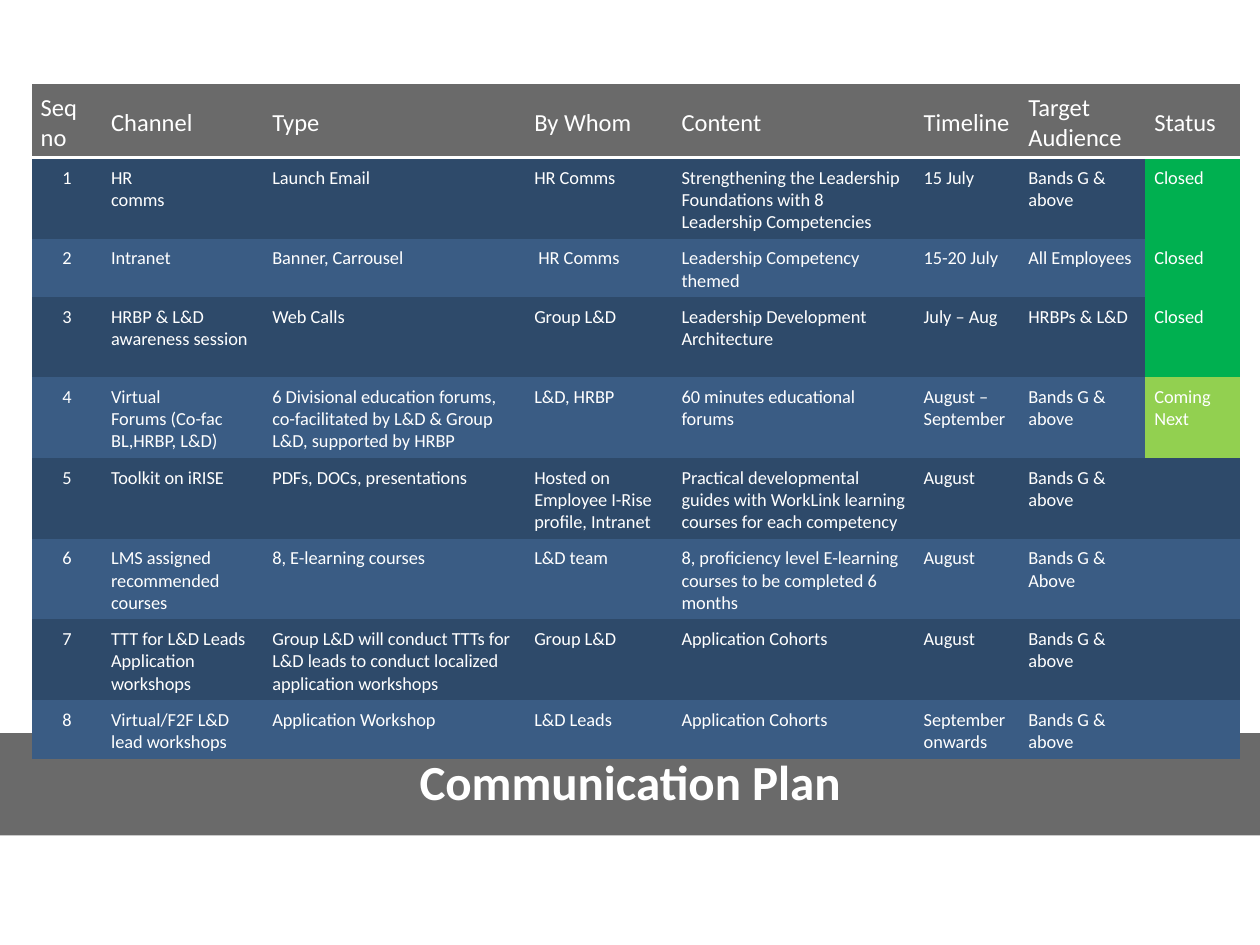
from dataclasses import dataclass

from lxml.etree import SubElement as Sub
from pptx import Presentation as Deck
from pptx.dml.color import RGBColor as Rgb
from pptx.enum.text import MSO_ANCHOR as Anchor, PP_ALIGN as Align
from pptx.oxml.ns import qn
from pptx.slide import Slide
from pptx.table import Table, _Cell as Cell
from pptx.text.text import TextFrame as Frame
from pptx.util import Cm, Pt


@dataclass(frozen=True)
class Theme:
    """Colours, font and type sizes of the slide."""

    font: str = "Calibri"
    white: str = "FFFFFF"
    grey: str = "6A6A6A"
    bands: tuple[str, str] = ("2E4A6A", "3A5C84")
    closed: str = "00B050"
    coming: str = "92D050"
    title: float = 28
    head: float = 14
    body: float = 10.5


@dataclass(frozen=True)
class Column:
    """Heading and width in centimetres."""

    head: str
    width: float


@dataclass(frozen=True)
class Step:
    """One row of the plan, with its height in centimetres."""

    channel: str
    kind: str
    owner: str
    content: str
    time: str
    target: str = "Bands G & above"
    status: str = ""
    height: float = 1.61

    def texts(self) -> tuple[str, ...]:
        """Return the cell texts in column order."""
        return (self.channel, self.kind, self.owner, self.content,
                self.time, self.target, self.status)


THEME = Theme()
FILLS = {"Closed": THEME.closed, "Coming Next": THEME.coming}
HEAD_HEIGHT = 1.48
COLUMNS = [
    Column("Seq no", 1.42),
    Column("Channel", 3.25),
    Column("Type", 5.28),
    Column("By Whom", 2.97),
    Column("Content", 4.88),
    Column("Timeline", 2.11),
    Column("Target Audience", 2.54),
    Column("Status", 1.9),
]
STEPS = [
    Step("HR \vcomms", "Launch Email", "HR Comms",
         "Strengthening the Leadership Foundations with 8 Leadership Competencies",
         "15 July", status="Closed"),
    Step("Intranet", "Banner, Carrousel", " HR Comms",
         "Leadership Competency themed", "15-20 July",
         "All Employees", "Closed", 1.17),
    Step("HRBP & L&D awareness session", "Web Calls", "Group L&D",
         "Leadership Development Architecture", "July – Aug",
         "HRBPs & L&D", "Closed"),
    Step("Virtual\vForums (Co-fac BL,HRBP, L&D)",
         "6 Divisional education forums, co-facilitated by L&D & Group L&D, "
         "supported by HRBP",
         "L&D, HRBP", "60 minutes educational forums", "August – September",
         status="Coming Next"),
    Step("Toolkit on iRISE", "PDFs, DOCs, presentations",
         "Hosted on Employee I-Rise profile, Intranet",
         "Practical developmental guides with WorkLink learning courses "
         "for each competency", "August"),
    Step("LMS assigned recommended courses", "8, E-learning courses", "L&D team",
         "8, proficiency level E-learning courses to be completed 6 months",
         "August", "Bands G & Above"),
    Step("TTT for L&D Leads Application workshops",
         "Group L&D will conduct TTTs for L&D leads to conduct localized "
         "application workshops",
         "Group L&D", "Application Cohorts", "August"),
    Step("Virtual/F2F L&D lead workshops", "Application Workshop", "L&D Leads",
         "Application Cohorts", "September onwards", height=1.19),
]


def style(frame: Frame, size: float, align: Align, bold: bool = False) -> None:
    """Format all runs of a text frame."""
    for para in frame.paragraphs:
        para.alignment = align
        for run in para.runs:
            run.font.name = THEME.font
            run.font.size = Pt(size)
            run.font.bold = bold
            run.font.color.rgb = Rgb.from_string(THEME.white)


def draw_title(slide: Slide, text: str) -> None:
    """Turn the title placeholder into the grey band."""
    band = slide.shapes.title
    band.left, band.top, band.width, band.height = Cm(0), Cm(14.78), Cm(25.4), Cm(2.06)
    band.fill.solid()
    band.fill.fore_color.rgb = Rgb.from_string(THEME.grey)
    frame = band.text_frame
    frame.text = text
    frame.vertical_anchor = Anchor.MIDDLE
    frame.paragraphs[0].line_spacing = 0.9
    frame.paragraphs[0].space_after = Pt(6)
    style(frame, THEME.title, Align.CENTER, True)


def fill_cell(cell: Cell, text: str, fill: str, size: float,
              align: Align = Align.LEFT, anchor: Anchor = Anchor.TOP) -> None:
    """Write and colour one cell."""
    cell.margin_left = cell.margin_right = cell.margin_top = Cm(0.18)
    cell.margin_bottom = Cm(0.1)
    cell.vertical_anchor = anchor
    cell.fill.solid()
    cell.fill.fore_color.rgb = Rgb.from_string(fill)
    if text:
        cell.text_frame.text = text
        style(cell.text_frame, size, align)


def rule_below(cell: Cell, width: float) -> None:
    """Draw a white line under a cell."""
    props = cell._tc.get_or_add_tcPr()
    line = Sub(props, qn("a:lnB"), w=str(Pt(width)))
    Sub(Sub(line, qn("a:solidFill")), qn("a:srgbClr"), val=THEME.white)
    props.insert(0, line)


def draw_head(table: Table) -> None:
    """Set the column widths and the heading row."""
    table.rows[0].height = Cm(HEAD_HEIGHT)
    for col, item in enumerate(COLUMNS):
        table.columns[col].width = Cm(item.width)
        cell = table.cell(0, col)
        fill_cell(cell, item.head, THEME.grey, THEME.head, anchor=Anchor.MIDDLE)
        rule_below(cell, 2)


def draw_step(table: Table, row: int, step: Step) -> None:
    """Fill one numbered row of the plan."""
    table.rows[row].height = Cm(step.height)
    band = THEME.bands[(row - 1) % 2]
    fill_cell(table.cell(row, 0), str(row), band, THEME.body, Align.CENTER)
    for col, text in enumerate(step.texts(), 1):
        fill_cell(table.cell(row, col), text, FILLS.get(text, band), THEME.body)


def draw_plan(slide: Slide) -> None:
    """Add the plan table without a preset grid."""
    width = sum(item.width for item in COLUMNS)
    height = HEAD_HEIGHT + sum(step.height for step in STEPS)
    table = slide.shapes.add_table(len(STEPS) + 1, len(COLUMNS), Cm(0.64), Cm(1.7),
                                   Cm(width), Cm(height)).table
    table.horz_banding = False
    plain = table._tbl.tblPr.find(qn("a:tableStyleId"))
    plain.text = "{2D5ABB26-0587-4C30-8999-92F81FD0307C}"
    draw_head(table)
    for row, step in enumerate(STEPS, 1):
        draw_step(table, row, step)


def main() -> None:
    """Build and save the slide."""
    deck = Deck()
    deck.slide_width, deck.slide_height = Cm(25.4), Cm(19.05)
    slide = deck.slides.add_slide(deck.slide_layouts.get_by_name("Title Only"))
    draw_title(slide, "Communication Plan")
    draw_plan(slide)
    deck.save("out.pptx")


if __name__ == "__main__":
    main()
